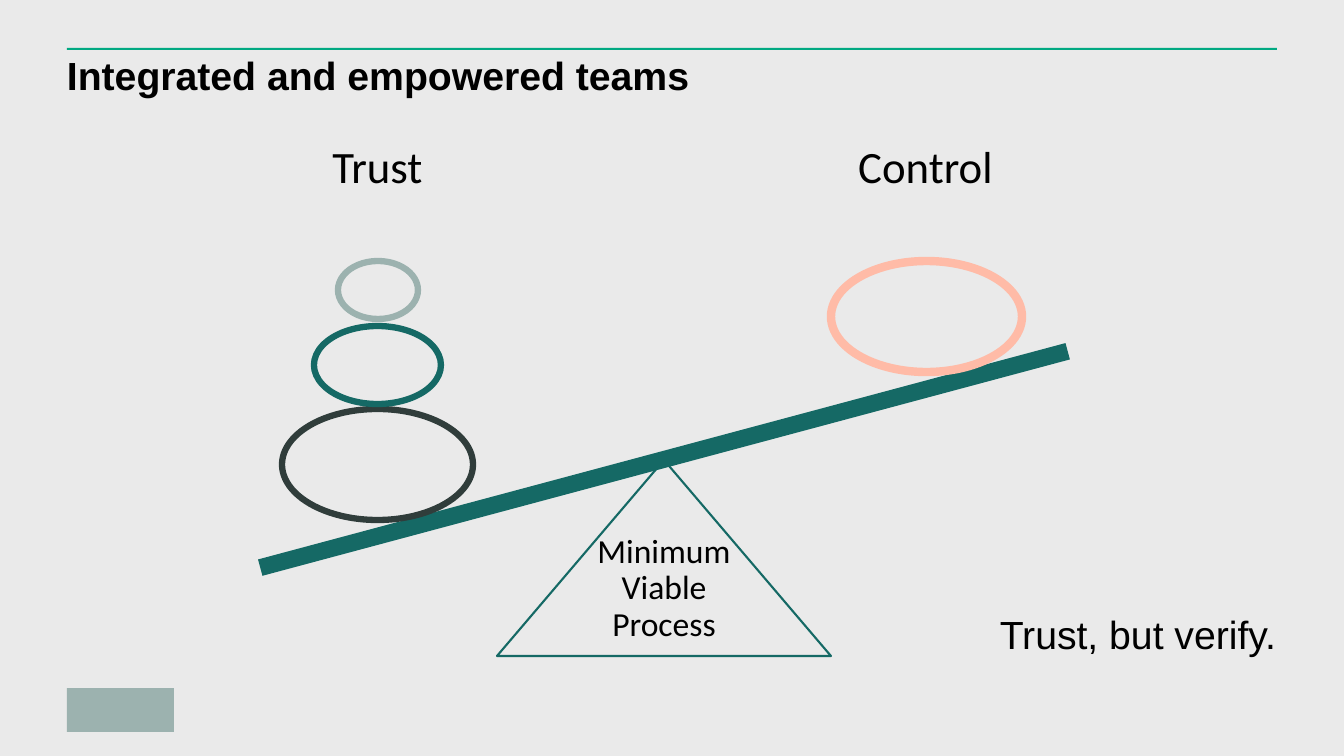
from pptx import Presentation
from pptx.dml.color import RGBColor as RGB
from pptx.enum.shapes import MSO_SHAPE as SHAPE
from pptx.enum.text import MSO_ANCHOR as ANCHOR, PP_ALIGN as ALIGN
from pptx.util import Pt

PX = 914400 / 100.8
COLORS = {
    "background": "EAEAEA", "rule": "01A982", "black": "000000",
    "teal": "156965", "dark": "303D3B", "sage": "9CB2AF", "salmon": "FFBBA7",
}


def add_shape(kind, box, fill=None, line=None, width=0):
    sp = s.shapes.add_shape(kind, *[round(v * PX) for v in box])
    sp.shadow.inherit = False
    if fill:
        sp.fill.solid()
        sp.fill.fore_color.rgb = RGB.from_string(COLORS[fill])
    else:
        sp.fill.background()
    if line:
        sp.line.color.rgb = RGB.from_string(COLORS[line])
        sp.line.width = Pt(width)
    else:
        sp.line.fill.background()
    return sp


def write(sp, text, size, font, align, margins=(0, 0, 0, 0), bold=False):
    tf = sp.text_frame
    tf.word_wrap = True
    tf.margin_left, tf.margin_top, tf.margin_right, tf.margin_bottom = [
        round(v * PX) for v in margins]
    p = tf.paragraphs[0]
    p.text = text
    p.alignment = align
    p.line_spacing = 0.9
    p.font.size = Pt(size)
    p.font.name = font
    p.font.bold = bold
    p.font.color.rgb = RGB.from_string(COLORS["black"])
    return tf


prs = Presentation()
prs.slide_width = round(1344 * PX)
prs.slide_height = round(756 * PX)
s = prs.slides.add_slide(prs.slide_layouts[6])
s.background.fill.solid()
s.background.fill.fore_color.rgb = RGB.from_string(COLORS["background"])

add_shape(SHAPE.RECTANGLE, (67, 48, 1210, 2), fill="rule")
add_shape(SHAPE.RECTANGLE, (67, 688, 107, 44), fill="sage")

for text, box, size, font, align, bold in [
    ("Integrated and empowered teams", (67, 57, 1210, 94), 28, "Arial", ALIGN.LEFT, True),
    ("Trust", (274, 145, 207, 55), 32, "Calibri", ALIGN.CENTER, False),
    ("Control", (822, 145, 207, 55), 32, "Calibri", ALIGN.CENTER, False),
    ("Trust, but verify.", (975, 616, 301, 55), 28, "Arial", ALIGN.RIGHT, False),
]:
    label = s.shapes.add_textbox(*[round(v * PX) for v in box])
    write(label, text, size, font, align, bold=bold)

fulcrum = add_shape(SHAPE.ISOSCELES_TRIANGLE, (497, 460, 334, 196), line="teal", width=1.5)
fulcrum.adjustments[0] = 0.5
tf = write(fulcrum, "Minimum Viable Process", 24, "Calibri", ALIGN.CENTER, (10, 5, 10, 41))
tf.vertical_anchor = ANCHOR.MIDDLE

beam = add_shape(SHAPE.RECTANGLE, (246, 451, 836, 17), fill="teal")
beam.rotation = 345

for box, color, width in [
    ((282, 409, 191, 111), "dark", 4.5),
    ((314, 326, 127, 78), "teal", 4.5),
    ((338, 261, 80, 58), "sage", 4.5),
    ((831, 261, 191, 111), "salmon", 6),
]:
    add_shape(SHAPE.OVAL, box, line=color, width=width)

prs.save("out.pptx")
